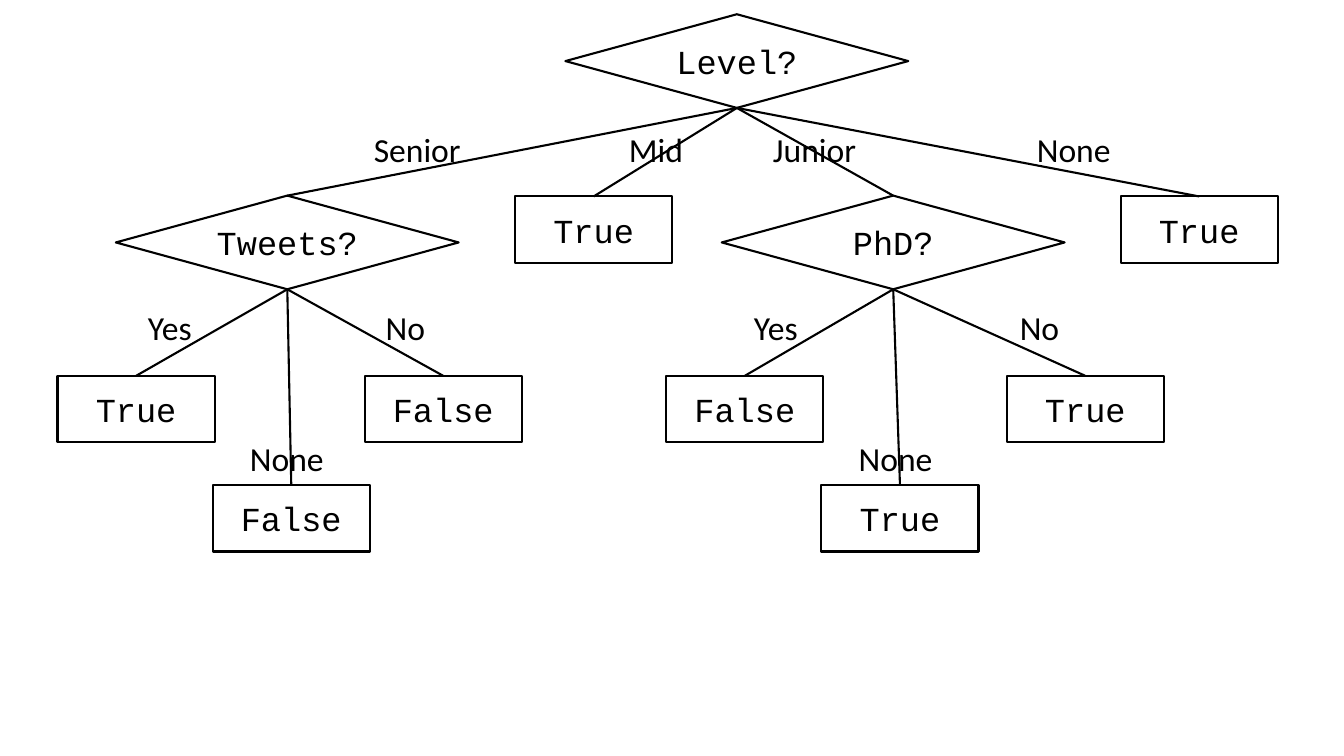
from dataclasses import dataclass

import lxml.etree
import pptx
import pptx.dml.color
import pptx.enum.shapes
import pptx.enum.text
import pptx.oxml.ns
import pptx.util

Cm = pptx.util.Cm
SHAPES = pptx.enum.shapes.MSO_SHAPE
TOP, BOTTOM = 0, 2


@dataclass(frozen=True)
class Theme:
    ink: pptx.dml.color.RGBColor = pptx.dml.color.RGBColor(0, 0, 0)
    text_size: int = 24
    line_width: float = 1.5
    node_font: str = "Courier New"
    label_font: str = "Calibri"


THEME = Theme()
DECISION_SIZE = (8.64, 2.36)
LEAF_SIZE = (3.96, 1.68)
LABEL_HEIGHT = 1.27

DECISIONS = {
    "Level?": (14.25, 0.36),
    "Tweets?": (2.92, 4.93),
    "PhD?": (18.19, 4.93),
}

LEVEL_ROW, LEVEL_LABEL = 4.95, (3.12, 4.19)
ANSWER_ROW, ANSWER_LABEL = 9.47, (7.62, 1.75)
NONE_ROW, NONE_LABEL = 12.22, (10.92, 2.39)

LEAF_BRANCHES = [
    ("Level?", "Mid", 15.6, LEVEL_LABEL, "True", 12.98, LEVEL_ROW),
    ("Level?", "None", 25.88, LEVEL_LABEL, "True", 28.24, LEVEL_ROW),
    ("Tweets?", "Yes", 3.48, ANSWER_LABEL, "True", 1.45, ANSWER_ROW),
    ("Tweets?", "No", 9.47, ANSWER_LABEL, "False", 9.19, ANSWER_ROW),
    ("Tweets?", "None", 6.05, NONE_LABEL, "False", 5.36, NONE_ROW),
    ("PhD?", "Yes", 18.75, ANSWER_LABEL, "False", 16.79, ANSWER_ROW),
    ("PhD?", "No", 25.45, ANSWER_LABEL, "True", 25.37, ANSWER_ROW),
    ("PhD?", "None", 21.39, NONE_LABEL, "True", 20.7, NONE_ROW),
]
DECISION_BRANCHES = [
    ("Level?", "Senior", 9.17, LEVEL_LABEL, "Tweets?"),
    ("Level?", "Junior", 19.23, LEVEL_LABEL, "PhD?"),
]


def write(shape, text, font_name):
    shape.text_frame.text = text
    para = shape.text_frame.paragraphs[0]
    for span in para.runs:
        span.font.name = font_name
        span.font.size = pptx.util.Pt(THEME.text_size)
        span.font.color.rgb = THEME.ink
    return para


def style_line(line):
    line.color.rgb = THEME.ink
    line.width = pptx.util.Pt(THEME.line_width)


def add_node(page, kind, text, position, size):
    node = page.shapes.add_shape(kind, *map(Cm, position + size))
    node.shadow.inherit = False
    node.fill.background()
    style_line(node.line)
    para = write(node, text, THEME.node_font)
    para.alignment = pptx.enum.text.PP_ALIGN.CENTER
    node.text_frame.vertical_anchor = pptx.enum.text.MSO_ANCHOR.MIDDLE
    return node


def add_label(page, text, left, top, width):
    box = page.shapes.add_textbox(*map(Cm, (left, top, width, LABEL_HEIGHT)))
    box.text_frame.word_wrap = True
    box.text_frame.auto_size = pptx.enum.text.MSO_AUTO_SIZE.SHAPE_TO_FIT_TEXT
    write(box, text, THEME.label_font)


def add_branch(page, parent, child, answer, label_left, label_row):
    straight = pptx.enum.shapes.MSO_CONNECTOR.STRAIGHT
    branch = page.shapes.add_connector(straight, 0, 0, 0, 0)
    branch.begin_connect(parent, BOTTOM)
    branch.end_connect(child, TOP)
    style_line(branch.line)
    properties = branch._element.spPr
    lxml.etree.SubElement(properties, pptx.oxml.ns.qn("a:effectLst"))
    add_label(page, answer, label_left, *label_row)


def main():
    deck = pptx.Presentation()
    deck.slide_width = Cm(33.87)
    deck.slide_height = Cm(19.05)
    page = deck.slides.add_slide(deck.slide_layouts[6])

    decisions = {
        question: add_node(page, SHAPES.FLOWCHART_DECISION, question, position, DECISION_SIZE)
        for question, position in DECISIONS.items()
    }
    for question, answer, label_left, label_row, follow_up in DECISION_BRANCHES:
        add_branch(page, decisions[question], decisions[follow_up], answer, label_left, label_row)
    for question, answer, label_left, label_row, result, left, top in LEAF_BRANCHES:
        leaf = add_node(page, SHAPES.RECTANGLE, result, (left, top), LEAF_SIZE)
        add_branch(page, decisions[question], leaf, answer, label_left, label_row)

    deck.save("out.pptx")


if __name__ == "__main__":
    main()
